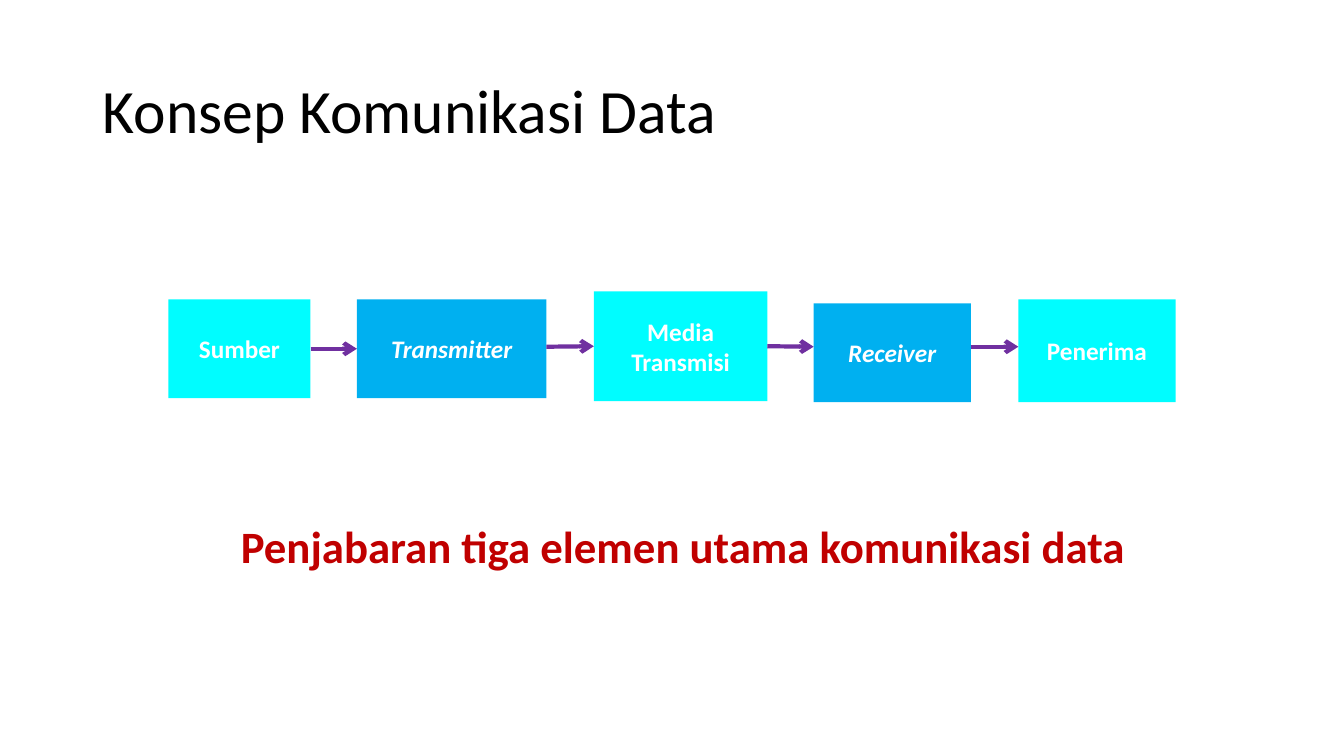
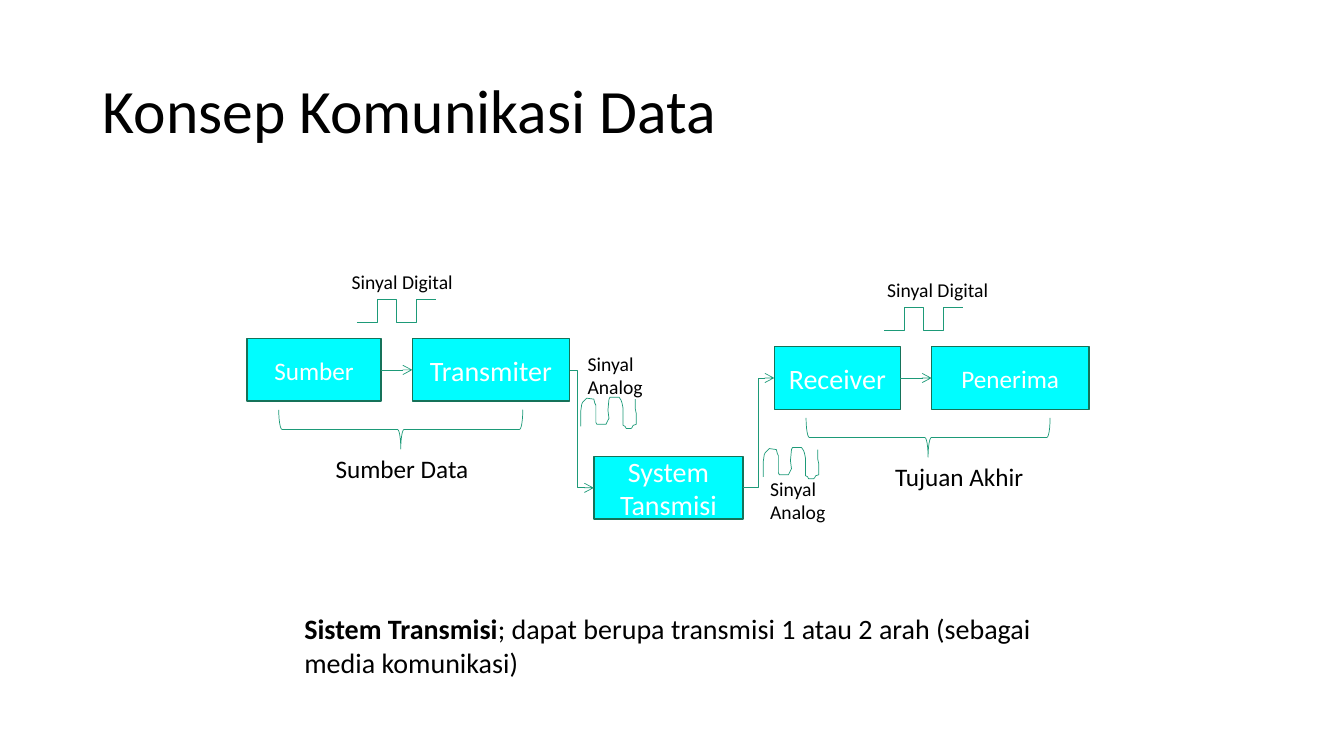
from lxml import etree
from pptx import Presentation, util as u
from pptx.dml.color import RGBColor
from pptx.enum import shapes, text
from pptx.oxml.ns import qn

PX = 9144
FONT = "Calibri"
CYAN, BLUE, WHITE, BLACK = "00FDFF", "00B0F0", "FFFFFF", "000000"
RED, PURPLE, GREEN, DARK = "C00000", "7030A0", "1D9A78", "157259"
THIN = {"tint": GREEN, "width": 0.5}
THICK = {"tint": PURPLE, "width": 3}
KIND = shapes.MSO_CONNECTOR
FORM = shapes.MSO_SHAPE
MID = text.MSO_ANCHOR.MIDDLE
PULSE = [(0, 23), (20, 23), (20, 0), (39, 0), (39, 23), (59, 23), (59, 0), (78, 0)]
WAVE = [(0, 29), (0, 14), (1, 7), (2, 5), (6, 1), (13, 2), (14, 6), (15, 8),
        (15, 25), (16, 27), (18, 27), (25, 27), (27, 23), (28, 21), (27, 13),
        (28, 2), (29, 0), (38, 0), (40, 3), (41, 6), (42, 11), (42, 28),
        (44, 29), (45, 31), (50, 31), (51, 30), (52, 28), (55, 27), (55, 16),
        (54, 11), (54, 2)]


def px(*vals):
    return [u.Emu(v * PX) for v in vals]


def rgb(tint):
    return RGBColor.from_string(tint)


def stroke(item, look):
    item.line.color.rgb = rgb(look["tint"])
    item.line.width = u.Pt(look["width"])


def style(run, size, tint=BLACK, **form):
    for key, val in {"name": FONT, "size": u.Pt(size), **form}.items():
        setattr(run.font, key, val)
    run.font.color.rgb = rgb(tint)


def label(s, box, lines, size, tint=BLACK, space=None, anchor=None, **form):
    frame = s.shapes.add_textbox(*px(*box)).text_frame
    frame.word_wrap = True
    if anchor is not None:
        frame.vertical_anchor = anchor
    for i, line in enumerate(lines):
        para = frame.add_paragraph() if i else frame.paragraphs[0]
        para.line_spacing = space
        run = para.add_run()
        run.text = line
        style(run, size, tint, **form)
    return frame


def block(s, box, word, size=18, fill=CYAN, edge=None, **form):
    rect = s.shapes.add_shape(FORM.RECTANGLE, *px(*box))
    rect.shadow.inherit = False
    rect.fill.solid()
    rect.fill.fore_color.rgb = rgb(fill)
    if edge:
        stroke(rect, {"tint": edge, "width": 1})
    else:
        rect.line.fill.background()
    frame = rect.text_frame
    frame.word_wrap = True
    frame.vertical_anchor = MID
    para = frame.paragraphs[0]
    para.alignment = text.PP_ALIGN.CENTER
    run = para.add_run()
    run.text = word
    style(run, size, WHITE, **form)
    return rect


def link(s, a, b, look, kind=KIND.STRAIGHT, ya=None, yb=None, bend=None):
    ends = [a.left + a.width, px(ya or 0)[0], b.left, px(yb or 0)[0]]
    line = s.shapes.add_connector(kind, *ends)
    if ya is None:
        line.begin_connect(a, 3)
    if yb is None:
        line.end_connect(b, 1)
    stroke(line, look)
    prop = line._element.spPr
    etree.SubElement(prop.find(qn("a:ln")), qn("a:tailEnd"), type="arrow")
    etree.SubElement(prop, qn("a:effectLst"))
    if bend:
        geom = prop.find(qn("a:prstGeom"))
        etree.SubElement(geom.find(qn("a:avLst")), qn("a:gd"),
                         name="adj1", fmla=f"val {bend}")


def trace(s, x, y, pts):
    pen = s.shapes.build_freeform(*pts[0], scale=PX)
    pen.add_line_segments(pts[1:], close=False)
    curve = pen.convert_to_shape(*px(x, y))
    curve.shadow.inherit = False
    curve.fill.background()
    stroke(curve, THIN)


def brace(s, x, y):
    mark = s.shapes.add_shape(FORM.LEFT_BRACE, *px(x, y, 39, 242))
    mark.rotation = 270
    mark.shadow.inherit = False
    mark.fill.background()
    stroke(mark, THIN)


def page(deck):
    s = deck.slides.add_slide(deck.slide_layouts[6])
    label(s, (92, 40, 1150, 145), ["Konsep Komunikasi Data"], 44,
          space=0.9, anchor=MID)
    return s


def chain(s, x, y):
    parts = [("Sumber", 0, 8, 141, 98), ("Transmitter", 187, 8, 188, 98),
             ("Media Transmisi", 422, 0, 172, 109), ("Receiver", 640, 12, 156, 98),
             ("Penerima", 843, 8, 156, 102)]
    row = [block(s, (x + dx, y + dy, w, h), word, fill=BLUE if i % 2 else CYAN,
                 bold=True, italic=bool(i % 2))
           for i, (word, dx, dy, w, h) in enumerate(parts)]
    mid = y + 55
    joins = [(None, None), (mid, None), (None, mid), (mid, mid)]
    for a, b, (ya, yb) in zip(row, row[1:], joins):
        link(s, a, b, THICK, ya=ya, yb=yb)


def side(s, x, y, wide, words, sizes, note, dx, sign):
    first = block(s, (x, y, wide, 62), words[0], sizes[0], edge=DARK)
    last = block(s, (x + wide + 31, y, 156, 62), words[1], sizes[1], edge=DARK)
    link(s, first, last, THIN)
    brace(s, x + 133, y - 31)
    label(s, (x + dx, y + 109, 160, 40), [note], 18)
    trace(s, x + 109, y - 39, PULSE)
    label(s, (x + sign, y - 73, 156, 34), ["Sinyal Digital"], 14)
    return first, last


def analog(s, x, y, dy):
    trace(s, x, y, WAVE)
    label(s, (x - 3, y + dy, 94, 57), ["Sinyal", "Analog"], 14)


def system(s, x, y):
    send = side(s, x, y, 133, ("Sumber", "Transmiter"), (18, 20),
                "Sumber Data", 78, 94)[1]
    take = side(s, x + 523, y + 8, 125, ("Receiver", "Penerima"), (20, 18),
                "Tujuan Akhir", 110, 102)[0]
    core = block(s, (x + 344, y + 117, 148, 62), "System Tansmisi", 20, edge=DARK)
    link(s, send, core, THIN, KIND.ELBOW, bend=30600)
    link(s, core, take, THIN, KIND.ELBOW, bend=50000)
    analog(s, x + 331, y + 58, -50)
    analog(s, x + 512, y + 108, 24)


def main():
    deck = Presentation()
    deck.slide_width, deck.slide_height = px(1333, 750)
    s = page(deck)
    label(s, (229, 516, 915, 78), ["Penjabaran tiga elemen utama komunikasi data"],
          32, RED, space=0.9, bold=True)
    chain(s, 167, 289)
    s = page(deck)
    system(s, 245, 336)
    frame = label(s, (292, 602, 750, 77), ["Sistem Transmisi"], 20, bold=True)
    run = frame.paragraphs[0].add_run()
    run.text = "; dapat berupa transmisi 1 atau 2 arah (sebagai media komunikasi)"
    style(run, 20)
    deck.save("out.pptx")


if __name__ == "__main__":
    main()
